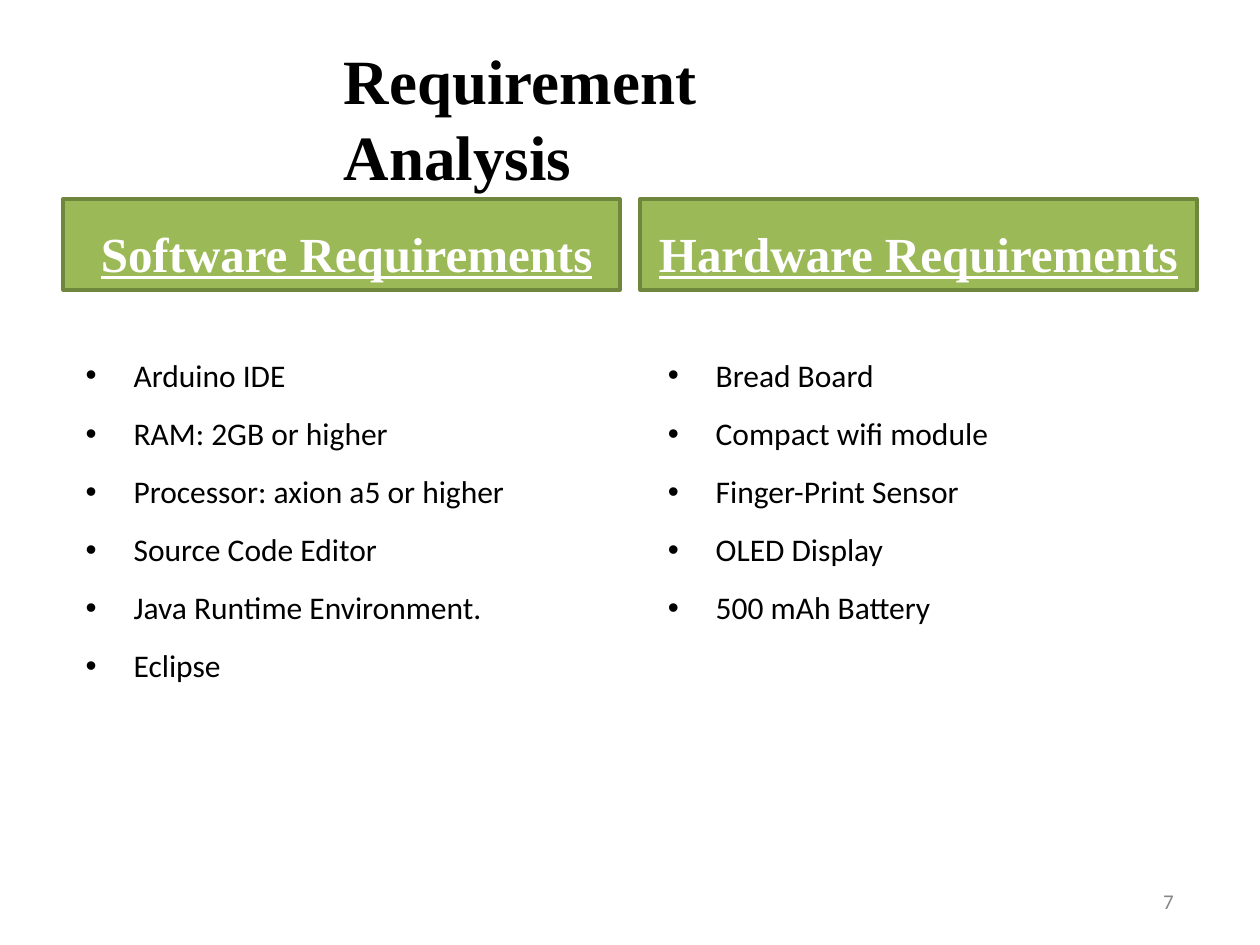
from pptx import Presentation
from pptx.dml.color import RGBColor
from pptx.enum.shapes import MSO_SHAPE
from pptx.enum.text import MSO_ANCHOR, MSO_AUTO_SIZE, PP_ALIGN
from pptx.util import Inches, Pt

RECT = MSO_SHAPE.RECTANGLE
TOP, MIDDLE = MSO_ANCHOR.TOP, MSO_ANCHOR.MIDDLE
LEFT = PP_ALIGN.LEFT
FIXED = MSO_AUTO_SIZE.NONE
SERIF, SANS = "Times New Roman", "Calibri"

SOFT = [
    "Arduino IDE",
    "RAM: 2GB or higher",
    "Processor: axion a5 or higher",
    "Source Code Editor",
    "Java Runtime Environment.",
    "Eclipse",
]
HARD = [
    "Bread Board",
    "Compact wifi module",
    "Finger-Print Sensor",
    "OLED Display",
    "500 mAh Battery",
]


def color(code):
    return RGBColor.from_string(code)


def place(shape, left, top, width, height):
    shape.left, shape.top = Inches(left), Inches(top)
    shape.width, shape.height = Inches(width), Inches(height)


def set_frame(shape, left=0, top=0, anchor=TOP):
    frame = shape.text_frame
    frame.margin_left, frame.margin_top = Inches(left), Inches(top)
    frame.margin_right = frame.margin_bottom = 0
    frame.word_wrap = True
    frame.auto_size = FIXED
    frame.vertical_anchor = anchor
    return frame


def style(para, face, size, code, bold=False, line=False):
    para.alignment = LEFT
    for run in para.runs:
        font = run.font
        font.name, font.size = face, Pt(size)
        font.bold, font.underline = bold, line
        font.color.rgb = color(code)


def add_title(slide, text):
    title = slide.shapes.title
    place(title, 2.72, 0.32, 4.7, 1.22)
    frame = set_frame(title, 0.01, 0.01)
    frame.text = text
    para = frame.paragraphs[0]
    para.line_spacing = 1.0
    style(para, SERIF, 36, "000000", bold=True)


def add_list(holder, items, left, width, height):
    place(holder, left, 2.67, width, height)
    frame = set_frame(holder, top=0.01)
    frame.text = "\n".join(items)
    for index, para in enumerate(frame.paragraphs):
        props = para._p.get_or_add_pPr()
        props.set("marL", str(Inches(0.39)))
        props.set("indent", str(Inches(-0.38)))
        para.line_spacing = 1.49
        para.space_before = Pt(1 if index else 0)
        style(para, SANS, 18, "000000")


def add_head(slide, text, left, inset):
    head = slide.shapes.add_shape(
        RECT, Inches(left), Inches(1.58), Inches(4.42), Inches(0.72))
    head.shadow.inherit = False
    head.fill.solid()
    head.fill.fore_color.rgb = color("9BB957")
    head.line.color.rgb = color("6F873D")
    head.line.width = Pt(2)
    frame = set_frame(head, inset, 0.13, MIDDLE)
    frame.text = text
    style(frame.paragraphs[0], SERIF, 28, "FFFFFF", bold=True, line=True)


def add_number(slide, text):
    box = slide.shapes.add_textbox(
        Inches(9.19), Inches(7.08), Inches(0.25), Inches(0.19))
    frame = set_frame(box, 0.04)
    frame.text = text
    para = frame.paragraphs[0]
    para.line_spacing = Pt(12.4)
    style(para, SANS, 12, "878787")


def main():
    deck = Presentation()
    deck.slide_width, deck.slide_height = Inches(10), Inches(7.5)
    slide = deck.slides.add_slide(deck.slide_layouts[3])
    add_number(slide, "7")
    add_title(slide, "Requirement Analysis")
    add_list(slide.placeholders[1], SOFT, 0.67, 4, 2.75)
    add_list(slide.placeholders[2], HARD, 5.29, 4.21, 4.61)
    add_head(slide, "Software Requirements", 0.5, 0.3)
    add_head(slide, "Hardware Requirements", 5.08, 0.15)
    deck.save("out.pptx")


if __name__ == "__main__":
    main()
